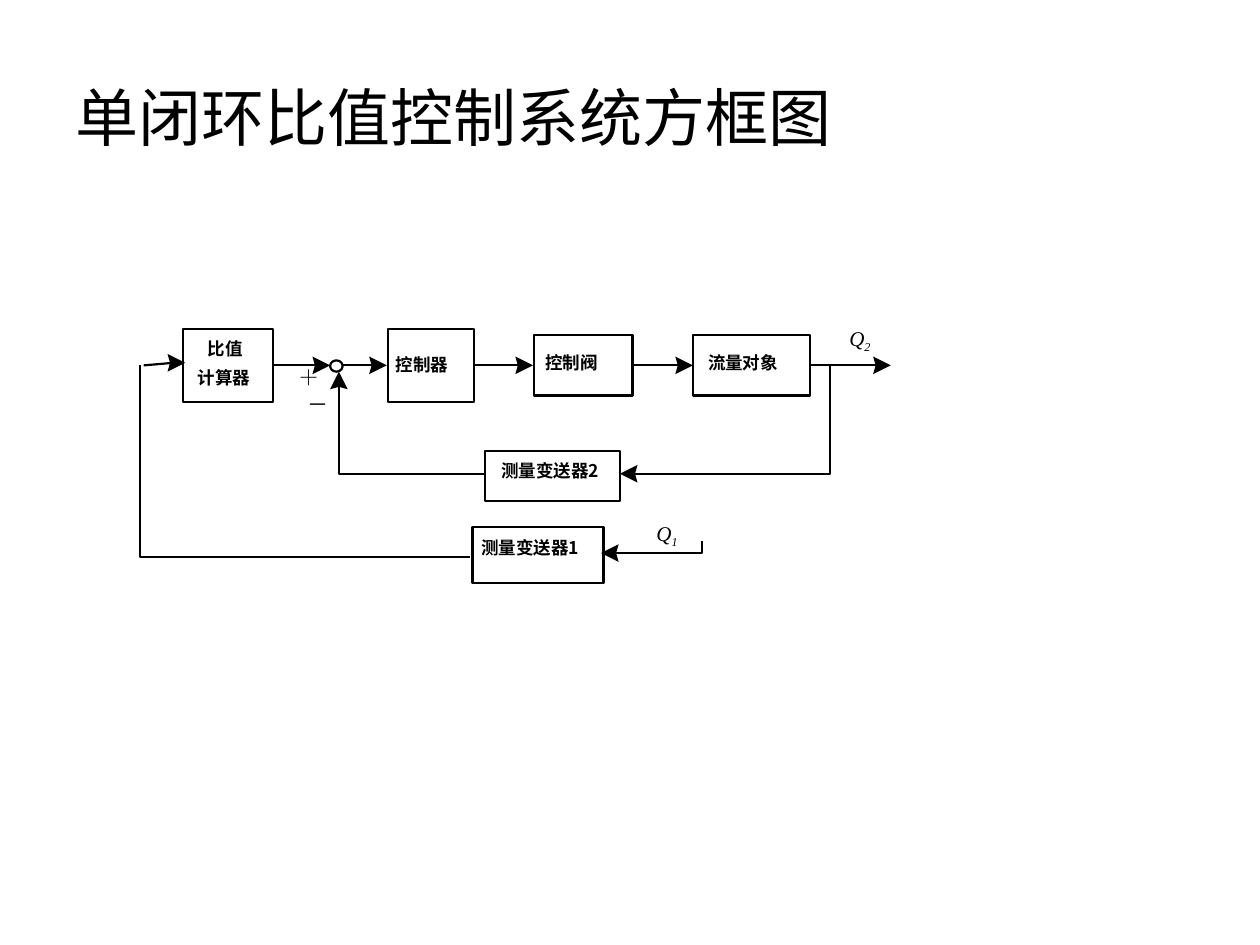
import dataclasses
import pptx
import pptx.dml.color
import pptx.enum.shapes
import pptx.enum.text
import pptx.oxml.ns
import pptx.util
from pptx.util import Inches


@dataclasses.dataclass(frozen=True)
class Theme:
    ink: pptx.dml.color.RGBColor = pptx.dml.color.RGBColor(0, 0, 0)
    paper: pptx.dml.color.RGBColor = pptx.dml.color.RGBColor(255, 255, 255)
    title_size: pptx.util.Pt = pptx.util.Pt(36)
    label_size: pptx.util.Pt = pptx.util.Pt(10)
    symbol_size: pptx.util.Pt = pptx.util.Pt(12)
    stroke: pptx.util.Pt = pptx.util.Pt(1.25)
    title_font: str = "Arial"
    label_font: str = "Noto Sans CJK SC"
    symbol_font: str = "Times New Roman"


@dataclasses.dataclass(frozen=True)
class Box:
    left: float
    top: float
    width: float
    height: float

    def place(self, x, y):
        return Inches(self.left + x), Inches(self.top + y)


THEME = Theme()
SHAPES = pptx.enum.shapes.MSO_SHAPE
ALIGN = pptx.enum.text.PP_ALIGN
ANCHOR = pptx.enum.text.MSO_ANCHOR
TITLE = {"size": THEME.title_size, "name": THEME.title_font}
LABEL = {"size": THEME.label_size, "name": THEME.label_font, "bold": True}
SIGN = {"size": THEME.symbol_size, "name": THEME.label_font}
SYMBOL = {"size": THEME.symbol_size, "name": THEME.symbol_font}
VARIABLE = {**SYMBOL, "italic": True}
RIGHT, LEFT, UP = (1, 0), (-1, 0), (0, -1)
HEAD, HALF_HEAD, NOTCH = 0.14, 0.07, 0.12
LEFT_SIDE, RIGHT_SIDE = 1, 3


def apply_formats(target, formats):
    for name, value in formats.items():
        setattr(target, name, value)


def add_span(para, text, formats):
    span = para.add_run()
    span.text = text
    apply_formats(span.font, formats)
    span.font.color.rgb = THEME.ink
    properties = span._r.get_or_add_rPr()
    east_asian = pptx.oxml.parse_xml(f'<a:ea {pptx.oxml.ns.nsdecls("a")}/>')
    east_asian.set("typeface", formats["name"])
    properties.append(east_asian)
    return span


def add_label(page, box, at, text, formats, subscript=""):
    x, y, width, height = at
    label = page.shapes.add_textbox(*box.place(x, y), Inches(width), Inches(height))
    frame = label.text_frame
    apply_formats(frame, {"word_wrap": True, "margin_left": 0, "margin_top": 0,
                          "margin_right": 0, "margin_bottom": 0})
    para = frame.paragraphs[0]
    para.alignment = ALIGN.JUSTIFY
    add_span(para, text, formats)
    if subscript:
        span = add_span(para, subscript, formats)
        span._r.get_or_add_rPr().set("baseline", "-25000")


def add_outlined(page, box, preset, at):
    x, y, width, height = at
    shape = page.shapes.add_shape(preset, *box.place(x, y), Inches(width), Inches(height))
    shape.shadow.inherit = False
    shape.fill.solid()
    shape.fill.fore_color.rgb = THEME.paper
    shape.line.color.rgb = THEME.ink
    shape.line.width = THEME.stroke
    return shape


def add_path(page, box, points, closed):
    start, *rest = [box.place(x, y) for x, y in points]
    builder = page.shapes.build_freeform(*start)
    builder.add_line_segments(rest, close=closed)
    shape = builder.convert_to_shape()
    shape.shadow.inherit = False
    return shape


def add_wire(page, box, points):
    wire = add_path(page, box, points, False)
    wire.fill.background()
    wire.line.color.rgb = THEME.ink
    wire.line.width = THEME.stroke


def add_head(page, box, tip, direction):
    (x, y), (dx, dy) = tip, direction
    outline = [(0, 0), (HEAD, HALF_HEAD), (NOTCH, 0), (HEAD, -HALF_HEAD)]
    points = [(x - back * dx - side * dy, y - back * dy + side * dx)
              for back, side in outline]
    head = add_path(page, box, points, True)
    head.fill.solid()
    head.fill.fore_color.rgb = THEME.ink
    head.line.fill.background()


def add_arrow(page, box, start, tip, source=None):
    end = (tip[0] - 0.1, tip[1])
    shaft = page.shapes.add_connector(pptx.enum.shapes.MSO_CONNECTOR.STRAIGHT,
                                      *box.place(*start), *box.place(*end))
    if source is not None:
        shaft.begin_connect(source, RIGHT_SIDE)
    shaft.line.color.rgb = THEME.ink
    shaft.line.width = THEME.stroke
    shaft._element.spPr.append(
        pptx.oxml.parse_xml(f'<a:effectLst {pptx.oxml.ns.nsdecls("a")}/>'))
    add_head(page, box, tip, RIGHT)


def add_block(page, box, at, labels):
    block = add_outlined(page, box, SHAPES.RECTANGLE, at)
    for text, dx, dy, width in labels:
        add_label(page, box, (at[0] + dx, at[1] + dy, width, 0.23), text, LABEL)
    return block


def add_title(page, box):
    title = page.shapes.add_textbox(*box.place(0, 0), Inches(box.width), Inches(box.height))
    apply_formats(title.text_frame, {"word_wrap": True, "vertical_anchor": ANCHOR.MIDDLE})
    add_span(title.text_frame.paragraphs[0], "单闭环比值控制系统方框图", TITLE)


def add_control_loop(page, box):
    axis, feedback = 0.4, 1.26
    ratio = add_block(page, box, (0.35, 0.11, 0.72, 0.58),
                      [("比值", 0.2, 0.07, 0.39), ("计算器", 0.12, 0.3, 0.58)])
    controller = add_block(page, box, (1.98, 0.11, 0.68, 0.58),
                           [("控制器", 0.06, 0.2, 0.58)])
    valve = add_block(page, box, (3.14, 0.16, 0.78, 0.48),
                      [("控制阀", 0.09, 0.13, 0.58)])
    process = add_block(page, box, (4.4, 0.16, 0.93, 0.48),
                        [("流量对象", 0.12, 0.13, 0.78)])
    add_block(page, box, (2.75, 1.08, 1.07, 0.4), [("测量变送器2", 0.13, 0.07, 0.87)])
    add_block(page, box, (2.65, 1.68, 1.04, 0.45), [("测量变送器1", 0.07, 0.08, 0.92)])
    add_outlined(page, box, SHAPES.OVAL, (1.52, 0.36, 0.1, 0.09))

    arrows = [(0.04, 0.37, None), (1.07, 1.52, ratio), (1.62, 1.97, None),
              (2.66, 3.13, controller), (3.92, 4.4, valve), (5.33, 5.97, process)]
    for start, tip, source in arrows:
        tip_y = axis - 0.02 if tip < 0.5 else axis
        add_arrow(page, box, (start, axis), (tip, tip_y), source)

    wires = [
        [(5.49, axis), (5.49, feedback), (3.92, feedback)],
        [(1.59, 0.56), (1.59, feedback), (2.75, feedback)],
        [(0.01, axis), (0.01, 1.92), (2.63, 1.92)],
        [(4.47, 1.79), (4.47, 1.89), (3.72, 1.89)],
    ]
    for points in wires:
        add_wire(page, box, points)
    for tip, direction in [((3.82, feedback), LEFT), ((3.67, 1.89), LEFT), ((1.59, 0.45), UP)]:
        add_head(page, box, tip, direction)

    add_label(page, box, (1.27, 0.39, 0.15, 0.14), "＋", SYMBOL)
    add_label(page, box, (1.34, 0.61, 0.21, 0.18), "－", SIGN)
    add_label(page, box, (5.64, 0.08, 0.29, 0.31), "Q", VARIABLE, "2")
    add_label(page, box, (4.11, 1.63, 0.24, 0.31), "Q", VARIABLE, "1")


def main():
    deck = pptx.Presentation()
    deck.slide_width, deck.slide_height = Inches(10), Inches(7.5)
    page = deck.slides.add_slide(deck.slide_layouts[6])
    add_title(page, Box(0.5, 0.3, 9, 1.25))
    add_control_loop(page, Box(1.1, 2.5, 6, 2.15))
    deck.save("out.pptx")


if __name__ == "__main__":
    main()
